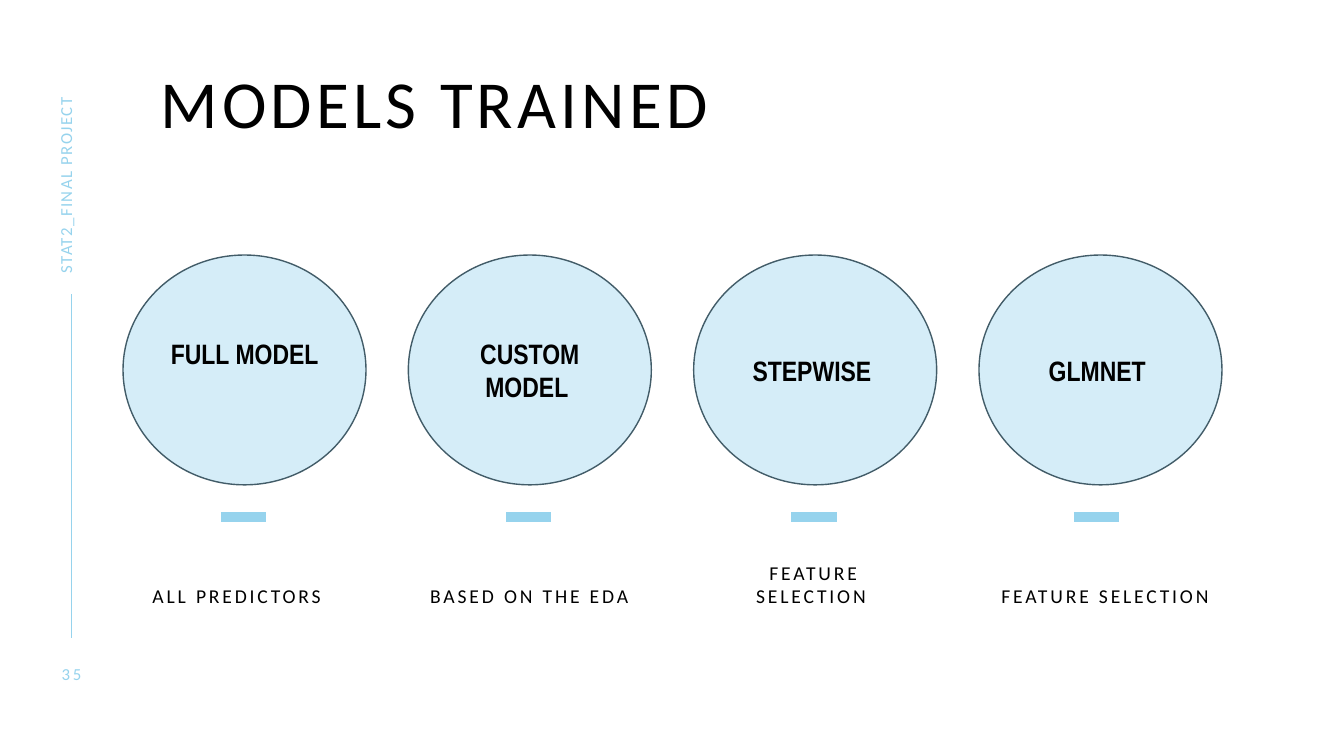
from dataclasses import dataclass

from lxml import etree
from pptx import Presentation
from pptx.dml.color import RGBColor
from pptx.enum.shapes import MSO_CONNECTOR, MSO_SHAPE
from pptx.enum.text import MSO_ANCHOR, PP_ALIGN
from pptx.oxml.ns import qn
from pptx.slide import Slide
from pptx.text.text import TextFrame
from pptx.util import Inches, Pt

STRAIGHT = MSO_CONNECTOR.STRAIGHT
OVAL = MSO_SHAPE.OVAL
TOP, MIDDLE, BOTTOM = MSO_ANCHOR.TOP, MSO_ANCHOR.MIDDLE, MSO_ANCHOR.BOTTOM
LEFT, CENTER = PP_ALIGN.LEFT, PP_ALIGN.CENTER

COLORS = {
    "accent": "96D3ED",
    "circle": "D5EDF8",
    "outline": "425C68",
    "text": "000000",
}
NO_INSETS = dict.fromkeys(
    ("margin_left", "margin_top", "margin_right", "margin_bottom"), 0
)
COLUMN_LEFT, COLUMN_PITCH = 1.22, 2.83
CIRCLE_TOP, CIRCLE_WIDTH, CIRCLE_HEIGHT = 2.53, 2.41, 2.28
BAR_Y, BAR_WIDTH = 5.13, 0.45


@dataclass
class TextStyle:
    size: float
    color: str = "text"
    font: str = "Calibri"
    bold: bool = False
    spacing: float = 0
    align: PP_ALIGN = CENTER
    anchor: MSO_ANCHOR = MIDDLE
    line_spacing: float = 1.0


@dataclass
class Label:
    text: str
    left: float
    top: float
    width: float
    height: float
    style: TextStyle
    rotation: float = 0


@dataclass
class Model:
    name: str
    caption: str
    bar_offset: float = 0.97
    caption_offset: float = 0.2
    caption_width: float = 2.0


CAPTION = TextStyle(14, spacing=2, anchor=BOTTOM)
MODEL_NAME = TextStyle(20, font="Arial Narrow", bold=True)

LABELS = [
    Label("35", 0.46, 6.58, 0.5, 0.2, TextStyle(12, "accent", spacing=2)),
    Label("MODELS TRAINED", 0.36, 0.7, 7.9, 0.69,
          TextStyle(48, spacing=3, anchor=TOP, line_spacing=0.9)),
    Label("STAT2_FINAL PROJECT", -0.54, 1.45, 2.38, 0.14,
          TextStyle(12, "accent", spacing=1, align=LEFT), rotation=270),
]
MODELS = [
    Model("FULL MODEL  ", "ALL PREDICTORS  "),
    Model("CUSTOM MODEL ", "BASED ON THE EDA"),
    Model("STEPWISE ", "FEATURE SELECTION "),
    Model("GLMNET ", "FEATURE SELECTION", 0.94, 0.18, 2.14),
]


def rgb(name: str) -> RGBColor:
    return RGBColor.from_string(COLORS[name])


def write(frame: TextFrame, text: str, style: TextStyle) -> None:
    frame.word_wrap = True
    frame.vertical_anchor = style.anchor
    paragraph = frame.paragraphs[0]
    paragraph.alignment = style.align
    paragraph.line_spacing = style.line_spacing
    run = paragraph.add_run()
    run.text = text
    font_format = {
        "name": style.font, "size": Pt(style.size), "bold": style.bold,
    }
    for attribute, value in font_format.items():
        setattr(run.font, attribute, value)
    run.font.color.rgb = rgb(style.color)
    if style.spacing:
        run._r.get_or_add_rPr().set("spc", str(int(style.spacing * 100)))


def add_label(slide: Slide, label: Label) -> None:
    box = slide.shapes.add_textbox(
        Inches(label.left), Inches(label.top),
        Inches(label.width), Inches(label.height),
    )
    box.rotation = label.rotation
    for attribute, value in NO_INSETS.items():
        setattr(box.text_frame, attribute, value)
    write(box.text_frame, label.text, label.style)


def add_line(slide: Slide, x1: float, y1: float, x2: float, y2: float,
             weight: float) -> None:
    line = slide.shapes.add_connector(
        STRAIGHT, Inches(x1), Inches(y1), Inches(x2), Inches(y2)
    )
    line.line.color.rgb = rgb("accent")
    line.line.width = Pt(weight)
    etree.SubElement(line._element.spPr, qn("a:effectLst"))


def add_model(slide: Slide, model: Model, left: float) -> None:
    # Circle with the model name
    circle = slide.shapes.add_shape(
        OVAL, Inches(left), Inches(CIRCLE_TOP),
        Inches(CIRCLE_WIDTH), Inches(CIRCLE_HEIGHT),
    )
    circle.shadow.inherit = False
    circle.fill.solid()
    circle.fill.fore_color.rgb = rgb("circle")
    circle.line.color.rgb = rgb("outline")
    circle.line.width = Pt(1)
    write(circle.text_frame, model.name, MODEL_NAME)

    # Accent bar and caption
    bar_left = left + model.bar_offset
    add_line(slide, bar_left, BAR_Y, bar_left + BAR_WIDTH, BAR_Y, 7)
    add_label(slide, Label(model.caption, left + model.caption_offset, 5.44,
                           model.caption_width, 0.59, CAPTION))


def main() -> None:
    presentation = Presentation()
    presentation.slide_width = Inches(13.33)
    presentation.slide_height = Inches(7.5)
    slide = presentation.slides.add_slide(presentation.slide_layouts[6])

    # Side rule, title, page number and project name
    add_line(slide, 0.71, 2.92, 0.71, 6.33, 1)
    for label in LABELS:
        add_label(slide, label)

    # Model columns
    for column, model in enumerate(MODELS):
        add_model(slide, model, COLUMN_LEFT + column * COLUMN_PITCH)

    presentation.save("out.pptx")


if __name__ == "__main__":
    main()
